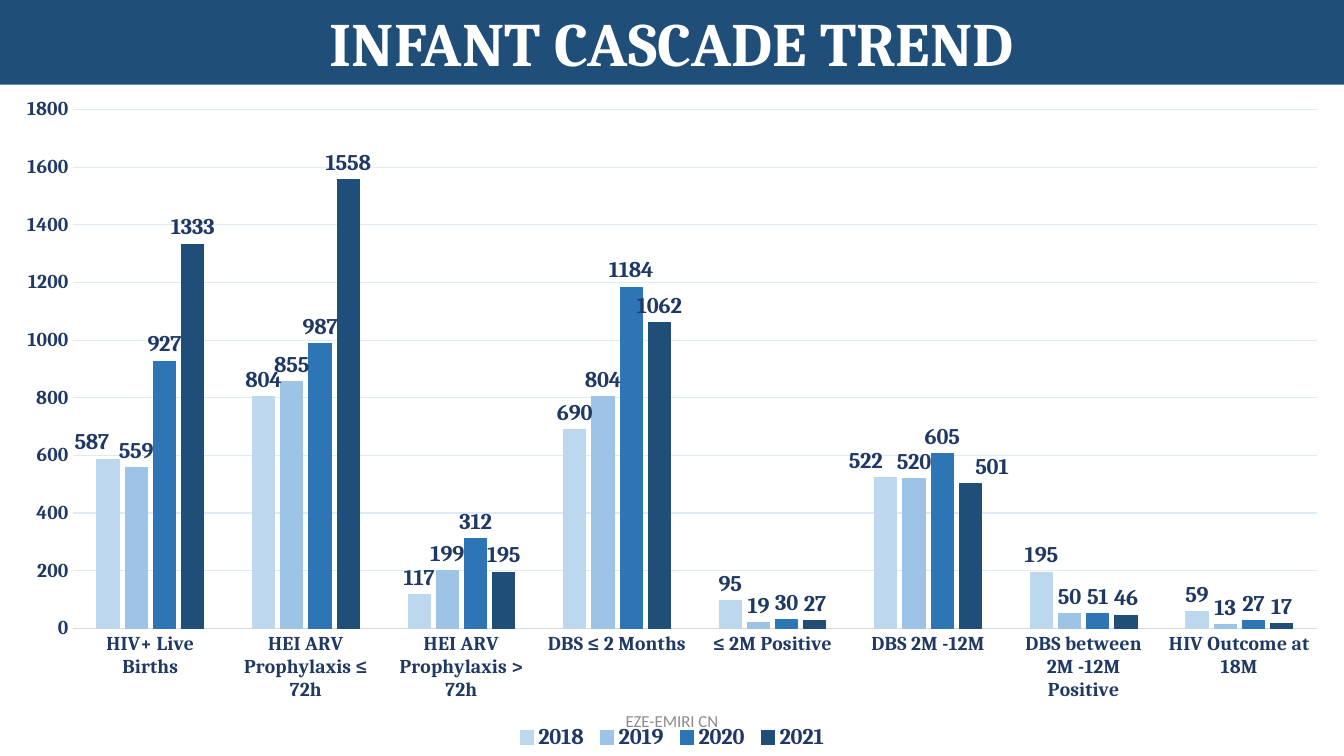
"""Builds the infant cascade trend slide with a clustered column chart."""
from dataclasses import dataclass, field

from lxml import etree
from pptx import Presentation, util as u
from pptx.chart.data import CategoryChartData
from pptx.dml.color import RGBColor
from pptx.enum import chart as ch, shapes, text
from pptx.oxml.ns import qn

WIDTH, HEIGHT = u.Inches(13.33), u.Inches(7.5)
BANNER_SHARE = 0.112

DARK_BLUE = RGBColor(0x1F, 0x4E, 0x79)
MID_BLUE = RGBColor(0x2E, 0x75, 0xB6)
SOFT_BLUE = RGBColor(0x9D, 0xC3, 0xE6)
PALE_BLUE = RGBColor(0xBD, 0xD7, 0xEE)
GRID_BLUE = RGBColor(0xDE, 0xEB, 0xF7)
NAVY = RGBColor(0x20, 0x38, 0x64)
AXIS_GREY = RGBColor(0xD9, 0xD9, 0xD9)
FOOTER_GREY = RGBColor(0x8C, 0x8C, 0x8C)
WHITE = RGBColor(0xFF, 0xFF, 0xFF)


@dataclass(frozen=True)
class Year:
    """One year's counts; label_shifts maps a category to a share of chart width."""
    name: str
    colour: RGBColor
    counts: tuple[int, ...]
    label_shifts: dict[int, float] = field(default_factory=dict)


STAGES = (
    "HIV+ Live Births", "HEI ARV Prophylaxis ≤ 72h", "HEI ARV Prophylaxis > 72h",
    "DBS ≤ 2 Months", "≤ 2M Positive", "DBS 2M -12M",
    "DBS between 2M -12M Positive", "HIV Outcome at 18M",
)
YEARS = (
    Year("2018", PALE_BLUE, (587, 804, 117, 690, 95, 522, 195, 59), {0: -0.012, 5: -0.015}),
    Year("2019", SOFT_BLUE, (559, 855, 199, 804, 19, 520, 50, 13)),
    Year("2020", MID_BLUE, (927, 987, 312, 1184, 30, 605, 51, 27)),
    Year("2021", DARK_BLUE, (1333, 1558, 195, 1062, 27, 501, 46, 17), {5: 0.016}),
)


def across(share: float) -> int:
    """Turn a share of the slide width into a length."""
    return round(WIDTH * share)


def down(share: float) -> int:
    """Turn a share of the slide height into a length."""
    return round(HEIGHT * share)


def set_font(font, size: float, colour: RGBColor, bold: bool = True, name: str = "Cambria") -> None:
    """Apply one typeface, size and colour."""
    font.name, font.size, font.bold = name, u.Pt(size), bold
    font.color.rgb = colour


def write(shape, wording: str, **font_format) -> None:
    """Put centred, formatted text in a shape."""
    frame = shape.text_frame
    frame.word_wrap = True
    frame.vertical_anchor = text.MSO_ANCHOR.MIDDLE
    paragraph = frame.paragraphs[0]
    paragraph.alignment = text.PP_ALIGN.CENTER
    run = paragraph.add_run()
    run.text = wording
    set_font(run.font, **font_format)


def place(parent, after: str | None, **settings) -> None:
    """Give a chart part a manual layout, following its named child if any."""
    for old in parent.findall(qn("c:layout")):
        parent.remove(old)
    layout = etree.Element(qn("c:layout"))
    manual = etree.SubElement(layout, qn("c:manualLayout"))
    for key, value in settings.items():
        etree.SubElement(manual, qn(f"c:{key}")).set("val", str(value))
    position = parent.index(parent.find(qn(after))) + 1 if after else 0
    parent.insert(position, layout)


def style_year(series, year: Year) -> None:
    """Colour one year's columns and set its value labels."""
    for fill in (series.format.fill, series.format.line.fill):
        fill.solid()
        fill.fore_color.rgb = year.colour
    series.format.line.width = u.Pt(0.75)
    labels = series.data_labels
    labels.show_value = True
    labels.position = ch.XL_LABEL_POSITION.OUTSIDE_END
    set_font(labels.font, 16, NAVY)
    for stage, shift in year.label_shifts.items():
        label = series.points[stage].data_label
        set_font(label.font, 16, NAVY)
        label.position = ch.XL_LABEL_POSITION.OUTSIDE_END
        moved = next(item for item in labels._element.findall(qn("c:dLbl"))
                     if item.find(qn("c:idx")).get("val") == str(stage))
        place(moved, "c:idx", x=shift, y=0)


def style_axes(chart) -> None:
    """Format both axes and the gridlines."""
    for axis in (chart.category_axis, chart.value_axis):
        axis.major_tick_mark = axis.minor_tick_mark = ch.XL_TICK_MARK.NONE
        set_font(axis.tick_labels.font, 14, NAVY)
    stage_line = chart.category_axis.format.line
    stage_line.color.rgb, stage_line.width = AXIS_GREY, u.Pt(0.75)
    counts = chart.value_axis
    counts.minimum_scale, counts.maximum_scale, counts.major_unit = 0, 1800, 200
    counts.format.line.fill.background()
    counts.has_major_gridlines = True
    grid = counts.major_gridlines.format.line
    grid.color.rgb, grid.width = GRID_BLUE, u.Pt(0.75)


def add_trend(slide) -> None:
    """Draw the cascade chart below the banner."""
    data = CategoryChartData()
    data.categories = STAGES
    for year in YEARS:
        data.add_series(year.name, year.counts)
    chart = slide.shapes.add_chart(
        ch.XL_CHART_TYPE.COLUMN_CLUSTERED, 0, down(BANNER_SHARE),
        WIDTH, down(1 - BANNER_SHARE), data).chart
    chart.has_title = False
    chart.font.name, chart.font.size = "Calibri", u.Pt(10)
    columns = chart.plots[0]
    columns.gap_width, columns.overlap, columns.vary_by_categories = 219, -27, False
    for series, year in zip(columns.series, YEARS):
        style_year(series, year)
    style_axes(chart)
    chart.has_legend = True
    legend = chart.legend
    legend.position = ch.XL_LEGEND_POSITION.BOTTOM
    legend.include_in_layout = False
    set_font(legend.font, 16, NAVY)
    place(legend._element, "c:legendPos", xMode="edge", yMode="edge",
          x=0.38, y=0.95, w=0.24, h=0.05)
    place(chart._chartSpace.chart.plotArea, None, layoutTarget="inner", xMode="edge",
          yMode="edge", x=0.054, y=0.037, w=0.926, h=0.773)


def main() -> None:
    """Build and save the slide."""
    deck = Presentation()
    deck.slide_width, deck.slide_height = WIDTH, HEIGHT
    slide = deck.slides.add_slide(deck.slide_layouts[6])
    banner = slide.shapes.add_shape(
        shapes.MSO_SHAPE.RECTANGLE, 0, 0, WIDTH, down(BANNER_SHARE))
    banner.shadow.inherit = False
    banner.fill.solid()
    banner.fill.fore_color.rgb = DARK_BLUE
    banner.line.fill.background()
    write(banner, "INFANT CASCADE TREND", size=44, colour=WHITE)
    add_trend(slide)
    footer = slide.shapes.add_textbox(
        across(0.3315), down(0.927), across(0.337), down(0.053))
    write(footer, "EZE-EMIRI CN", size=12, colour=FOOTER_GREY, bold=False, name="Calibri")
    deck.save("out.pptx")


if __name__ == "__main__":
    main()
